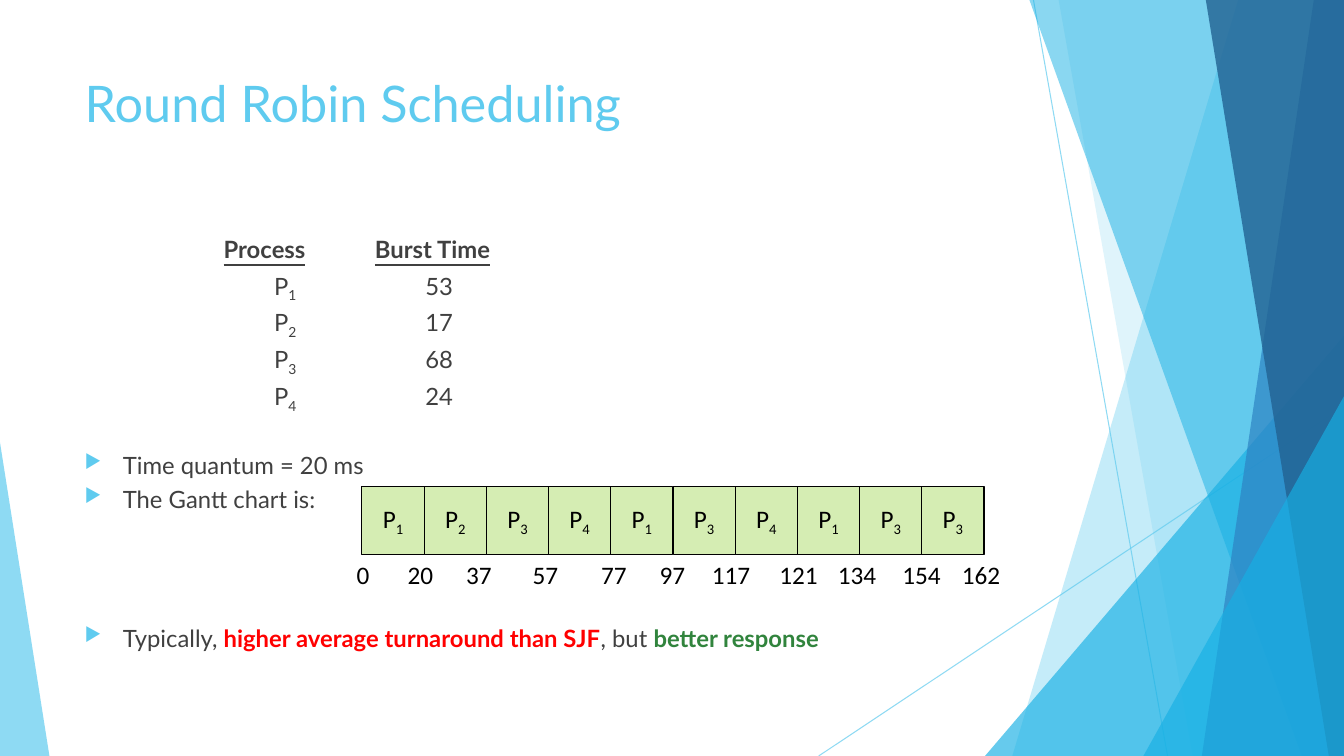
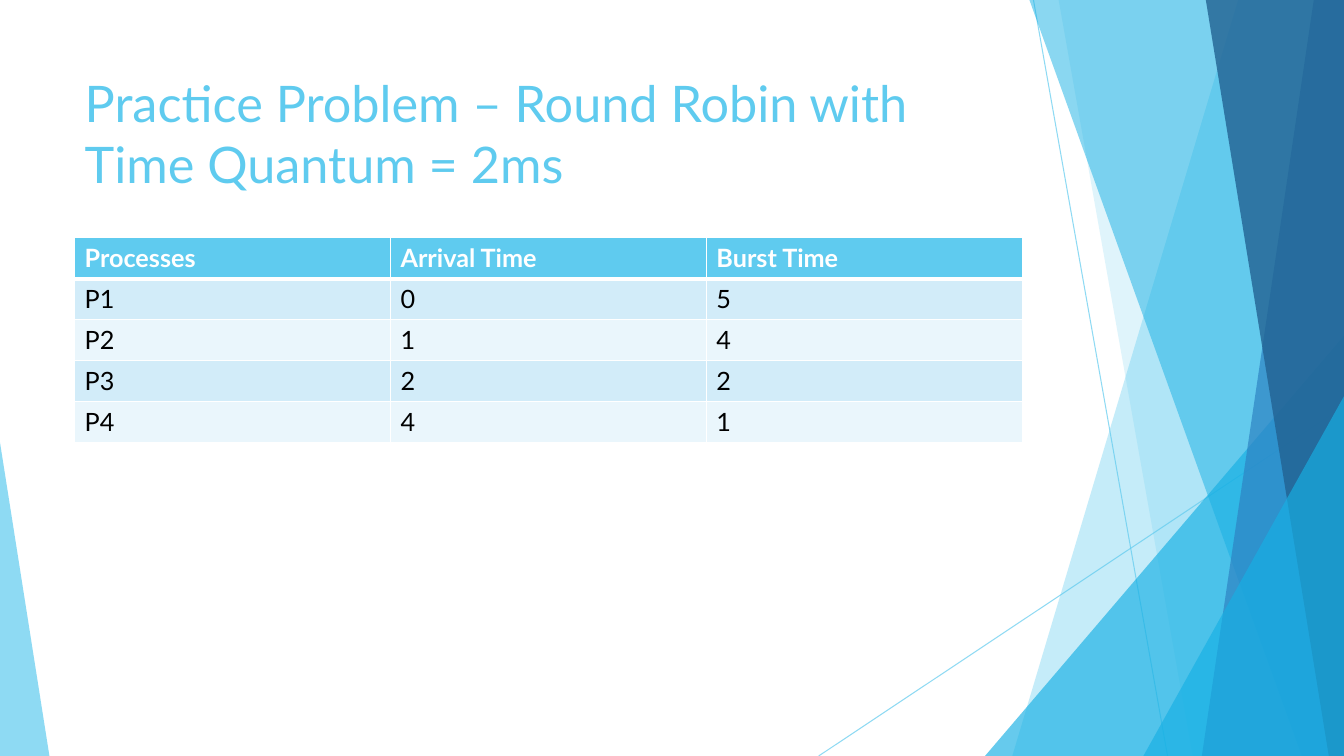
from lxml.etree import SubElement
from pptx import Presentation
from pptx.dml.color import RGBColor
from pptx.enum.shapes import MSO_CONNECTOR as Connector, MSO_SHAPE as Preset
from pptx.enum.text import MSO_ANCHOR as Anchor, MSO_AUTO_SIZE as AutoSize, PP_ALIGN as Align
from pptx.oxml.ns import qn
from pptx.util import Inches, Pt

SKY, CYAN, BLUE, NAVY = "5FCBEF", "17B0E4", "2E83C3", "226292"
BLACK, WHITE, BODY = "000000", "FFFFFF", "404040"
RED, GREEN, LIME = "FF0000", "31843D", "D5EDB3"
ROW_FILLS = ("D2ECF9", "EAF6FC")
HEADING_FONT, CHART_FONT = "Lato", "Calibri"
LEFT, WIDTH = 0.74, 9.4
PAGE_WIDTH, PAGE_HEIGHT = 13.33, 7.5

# Backdrop, back to front
LINES = [((10.25, 0), (11.58, 7.5)), ((13.33, 4.03), (8.12, 7.5))]
# Bands reach the right edge: (top x, bottom x, colour, opacity)
# Triangles stand on the bottom edge: (left, top, width, apex, colour, opacity)
PANELS = [
    (12.28, 10.04, SKY, 36),
    (10.5, 11.83, SKY, 20),
    (9.77, 3.33, 3.56, 1, CYAN, 66),
    (10.21, 12.91, CYAN, 50),
    (13.03, 11.92, BLUE, 70),
    (11.96, 13.18, NAVY, 80),
    (11.34, 3.93, 1.99, 1, CYAN, 66),
    (0, 4.39, 0.49, 0, SKY, 70),
]

BURSTS = [("1", "53"), ("2", "17"), ("3", "68"), ("4", "24")]
GANTT = "1234134133"
# Time and the centre of its label
TIMES = [(0, 3.6), (20, 4.17), (37, 4.75), (57, 5.41), (77, 6.09), (97, 6.67),
         (117, 7.25), (121, 7.92), (134, 8.5), (154, 9.14), (162, 9.73)]
ARRIVALS = [
    ("Processes", "Arrival Time", "Burst Time"),
    ("P1", "0", "5"),
    ("P2", "1", "4"),
    ("P3", "2", "2"),
    ("P4", "4", "1"),
]


def rgb(value):
    return RGBColor.from_string(value)


def inches(*lengths):
    return [Inches(length) for length in lengths]


def set_opacity(shape, percent):
    color = shape.element.spPr.find(".//" + qn("a:srgbClr"))
    SubElement(color, qn("a:alpha"), val=str(percent * 1000))


def paint(shape, color, opacity=None, outline=None):
    shape.shadow.inherit = False
    shape.fill.solid()
    shape.fill.fore_color.rgb = rgb(color)
    if opacity:
        set_opacity(shape, opacity)
    if outline:
        shape.line.color.rgb = rgb(outline)
        shape.line.width = Pt(0.75)
    else:
        shape.line.fill.background()


def add_line(shapes, start, end):
    line = shapes.add_connector(Connector.STRAIGHT, *inches(*start, *end))
    line.line.color.rgb = rgb(SKY)
    line.line.width = Pt(0.75)
    set_opacity(line, 70)
    SubElement(line.element.spPr, qn("a:effectLst"))


def add_band(shapes, top_x, bottom_x, color, opacity):
    builder = shapes.build_freeform(*inches(top_x, 0))
    corners = [(PAGE_WIDTH, 0), (PAGE_WIDTH, PAGE_HEIGHT), (bottom_x, PAGE_HEIGHT)]
    builder.add_line_segments([inches(*corner) for corner in corners])
    paint(builder.convert_to_shape(), color, opacity)


def add_triangle(shapes, left, top, width, apex, color, opacity):
    box = inches(left, top, width, PAGE_HEIGHT - top)
    triangle = shapes.add_shape(Preset.ISOSCELES_TRIANGLE, *box)
    triangle.adjustments[0] = apex
    paint(triangle, color, opacity)


def add_backdrop(page, layout):
    """Draw the facets and hand them to the layout, where every slide shows them."""
    group = page.shapes.add_group_shape()
    for start, end in LINES:
        add_line(group.shapes, start, end)
    for panel in PANELS:
        add_panel = add_band if len(panel) == 4 else add_triangle
        add_panel(group.shapes, *panel)
    layout.shapes.element.insert(2, group.element)


def write(para, text, size=18, font=HEADING_FONT, color=BODY,
          bold=False, underline=False, subscript=False):
    span = para.add_run()
    span.text = text
    span.font.size = Pt(size)
    span.font.name = font
    span.font.color.rgb = rgb(color)
    span.font.bold = bold
    if underline:
        span.font.underline = True
    if subscript:
        span._r.get_or_add_rPr().set("baseline", "-25000")


def add_title(page, text):
    title = page.shapes.title
    title.left, title.top, title.width, title.height = inches(LEFT, 0.67, WIDTH, 1.44)
    frame = title.text_frame
    frame.word_wrap = True
    frame.auto_size = AutoSize.NONE
    frame.vertical_anchor = Anchor.TOP
    para = frame.paragraphs[0]
    para.alignment = Align.LEFT
    write(para, text, size=36, color=SKY)


def next_para(frame):
    first = frame.paragraphs[0]
    return frame.add_paragraph() if first.runs else first


def add_body_para(frame, *spans, before=10, bullet=False, tabs=()):
    """Add a paragraph of (text, format) spans, bulleted or set on tab stops."""
    para = next_para(frame)
    para.line_spacing = 0.7
    para.space_before = Pt(before)
    properties = para._p.get_or_add_pPr()
    if bullet:
        properties.set("marL", str(Inches(0.38)))
        properties.set("indent", str(-Inches(0.38)))
        color = SubElement(properties, qn("a:buClr"))
        SubElement(color, qn("a:srgbClr"), val=SKY)
        SubElement(properties, qn("a:buSzPct"), val="80000")
        SubElement(properties, qn("a:buChar"), char="▶")
    if tabs:
        stops = SubElement(properties, qn("a:tabLst"))
        for stop in tabs:
            SubElement(stops, qn("a:tab"), pos=str(Inches(stop)), algn="l")
    for text, style in spans:
        write(para, text, size=17, **style)


def add_body(page):
    frame = page.shapes.add_textbox(*inches(LEFT, 2.36, WIDTH, 4.24)).text_frame
    frame.word_wrap = True
    heading = {"bold": True, "underline": True}
    add_body_para(frame, ("\t", {}), ("Process", heading), ("\t", {}),
                  ("Burst Time", heading), tabs=(1.38, 2.88))
    for number, burst in BURSTS:
        add_body_para(frame, ("\tP", {}), (number, {"subscript": True}),
                      ("\t" + burst, {}), tabs=(1.88, 3.38))
    add_body_para(frame, ("Time quantum = 20 ms", {}), before=34.5, bullet=True)
    add_body_para(frame, ("The Gantt chart is:", {}), bullet=True)
    add_body_para(
        frame,
        ("Typically, ", {}),
        ("higher average turnaround than SJF", {"color": RED, "bold": True}),
        (", but ", {}),
        ("better response", {"color": GREEN, "bold": True}),
        before=85.5, bullet=True)


def centre_text(shape):
    """Centre the shape's text on one line and return its paragraph."""
    frame = shape.text_frame
    frame.word_wrap = False
    frame.vertical_anchor = Anchor.MIDDLE
    para = frame.paragraphs[0]
    para.alignment = Align.CENTER
    return para


def add_gantt(page):
    left, top, height = 3.59, 4.83, 0.67
    width = 6.17 / len(GANTT)
    style = {"font": CHART_FONT, "color": BLACK}
    for index, number in enumerate(GANTT):
        box = inches(left + index * width, top, width, height)
        slot = page.shapes.add_shape(Preset.RECTANGLE, *box)
        paint(slot, LIME, outline=BLACK)
        para = centre_text(slot)
        write(para, "P", **style)
        write(para, number, subscript=True, **style)
    for time, centre in TIMES:
        label_width = 0.2 + 0.13 * len(str(time))
        box = inches(centre - label_width / 2, top + height, label_width, 0.4)
        write(centre_text(page.shapes.add_textbox(*box)), str(time), **style)


def set_borders(cell, top, bottom):
    properties = cell._tc.get_or_add_tcPr()
    for side, width in (("L", 1), ("R", 1), ("T", top), ("B", bottom)):
        line = SubElement(properties, qn("a:ln" + side), w=str(Pt(width)))
        fill = SubElement(line, qn("a:solidFill"))
        SubElement(fill, qn("a:srgbClr"), val=WHITE)


def add_arrivals(page):
    size = len(ARRIVALS), len(ARRIVALS[0])
    table = page.shapes.add_table(*size, *inches(LEFT, 2.36, WIDTH, 2.03)).table
    for row, values in enumerate(ARRIVALS):
        header = row == 0
        for column, value in enumerate(values):
            cell = table.cell(row, column)
            set_borders(cell, top=3 if row == 1 else 1, bottom=3 if header else 1)
            cell.fill.solid()
            cell.fill.fore_color.rgb = rgb(SKY if header else ROW_FILLS[(row - 1) % 2])
            write(cell.text_frame.paragraphs[0], value,
                  color=WHITE if header else BLACK, bold=header)


def main():
    deck = Presentation()
    deck.slide_width, deck.slide_height = inches(PAGE_WIDTH, PAGE_HEIGHT)
    layout = deck.slide_layouts[5]
    for holder in list(layout.placeholders)[1:]:
        layout.shapes.element.remove(holder.element)

    scheduling = deck.slides.add_slide(layout)
    add_backdrop(scheduling, layout)
    add_title(scheduling, "Round Robin Scheduling")
    add_body(scheduling)
    add_gantt(scheduling)

    practice = deck.slides.add_slide(layout)
    add_title(practice, "Practice Problem – Round Robin with Time Quantum = 2ms")
    add_arrivals(practice)

    deck.save("out.pptx")


if __name__ == "__main__":
    main()
